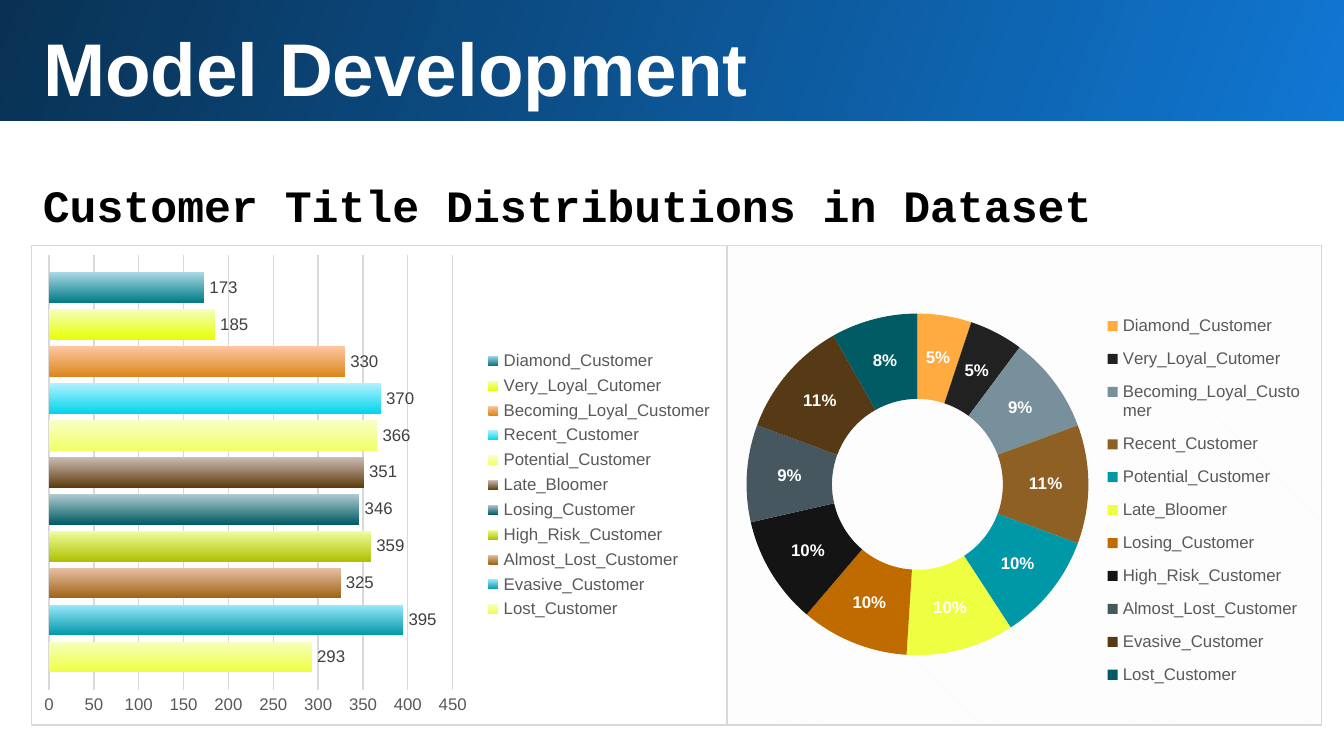
from pptx import Presentation
from pptx.chart.data import CategoryChartData
from pptx.dml.color import RGBColor
from pptx.enum.chart import XL_CHART_TYPE, XL_LABEL_POSITION, XL_LEGEND_POSITION, XL_TICK_MARK
from pptx.enum.shapes import MSO_SHAPE
from pptx.enum.text import MSO_ANCHOR, MSO_AUTO_SIZE, PP_ALIGN
from pptx.oxml import parse_xml
from pptx.oxml.ns import nsdecls, qn
from pptx.util import Inches, Pt

COLORS = {
    "white": "FFFFFF",
    "black": "000000",
    "band_light": "1077D2",
    "band_dark": "093153",
    "muted": "595959",
    "label": "404040",
    "line": "D9D9D9",
    "hatch": "F2F2F2",
}

# Chart frames in inches: left, top, width, height
BAR_BOX = (0.23, 1.82, 5.18, 3.58)
DOUGHNUT_BOX = (5.41, 1.82, 4.43, 3.58)

# Customer title, count, share in %, bar gradient (dark, light), slice colour
CUSTOMERS = [
    ("Diamond_Customer", 173, 5, "007986", "A7D8E4", "FFAB40"),
    ("Very_Loyal_Cutomer", 185, 5, "E8FF01", "F4FFBD", "212121"),
    ("Becoming_Loyal_Customer", 330, 9, "DA861B", "FFC8A3", "78909C"),
    ("Recent_Customer", 370, 11, "00D5EC", "B3F1FF", "8F6024"),
    ("Potential_Customer", 366, 10, "F1FF67", "F8FFC7", "0097A7"),
    ("Late_Bloomer", 351, 10, "5F3B0C", "CBBDB5", "EEFF41"),
    ("Losing_Customer", 346, 10, "005B64", "B1CBD2", "BF6B00"),
    ("High_Risk_Customer", 359, 10, "AFC000", "EEFFA0", "141414"),
    ("Almost_Lost_Customer", 325, 9, "9F6214", "E9C0A5", "465760"),
    ("Evasive_Customer", 395, 11, "0097A7", "99E9FC", "563A16"),
    ("Lost_Customer", 293, 8, "EEFF41", "F7FFC0", "005B64"),
]


def rgb(value):
    return RGBColor.from_string(COLORS.get(value, value))


def place(sp, left, top, width, height):
    sp.left, sp.top = Inches(left), Inches(top)
    sp.width, sp.height = Inches(width), Inches(height)


def set_font(font, size, color, name="Arial", bold=False):
    font.size, font.name, font.bold = Pt(size), name, bold
    font.color.rgb = rgb(color)


def set_gradient(fill, start, end, angle):
    fill.gradient()
    fill.gradient_angle = angle
    for stop, color in zip(fill.gradient_stops, (start, end)):
        stop.color.rgb = rgb(color)


def add_band(s):
    sp = s.shapes.add_shape(MSO_SHAPE.RECTANGLE, Inches(-0.02), Inches(-0.02),
                            Inches(10.05), Inches(0.92))
    sp.shadow.inherit = False
    sp.line.fill.background()
    set_gradient(sp.fill, "band_light", "band_dark", 160)
    s.shapes.element.insert(2, sp.element)  # behind the title


def write_heading(sp, text, box, size, color, name, spacing=1.0):
    place(sp, *box)
    tf = sp.text_frame
    tf.word_wrap = True
    tf.auto_size = MSO_AUTO_SIZE.NONE
    tf.vertical_anchor = MSO_ANCHOR.BOTTOM
    tf.margin_left = tf.margin_right = tf.margin_top = tf.margin_bottom = Inches(0.1)
    p = tf.paragraphs[0]
    p.text = text
    p.alignment = PP_ALIGN.LEFT
    p.line_spacing = spacing
    set_font(p.font, size, color, name, bold=True)


def set_layout(parent, index, part, box, inner=False):
    """Place a chart part, given in inches inside the chart frame."""
    for old in parent.findall(qn("c:layout")):
        parent.remove(old)
    target = '<c:layoutTarget val="inner"/>' if inner else ""
    x, y, w, h = (value / box[2 + i % 2] for i, value in enumerate(part))
    parent.insert(index, parse_xml(
        f'<c:layout {nsdecls("c")}><c:manualLayout>{target}'
        '<c:xMode val="edge"/><c:yMode val="edge"/>'
        f'<c:x val="{x}"/><c:y val="{y}"/><c:w val="{w}"/><c:h val="{h}"/>'
        '</c:manualLayout></c:layout>'))


def add_chart(s, kind, data, box, fill_xml, plot_box):
    chart = s.shapes.add_chart(kind, *map(Inches, box), data).chart
    chart.has_title = False
    set_font(chart.font, 10, "black")
    chart.has_legend = True
    chart.legend.position = XL_LEGEND_POSITION.RIGHT
    chart.legend.include_in_layout = False
    set_font(chart.legend.font, 9, "muted")
    body = chart.element.find(qn("c:chart"))
    set_layout(body.find(qn("c:plotArea")), 0, plot_box, box, inner=True)
    # Chart background and border
    body.addnext(parse_xml(
        f'<c:spPr {nsdecls("c", "a")}>{fill_xml}<a:ln w="9525"><a:solidFill>'
        f'<a:srgbClr val="{COLORS["line"]}"/></a:solidFill></a:ln></c:spPr>'))
    return chart


def add_count_bars(s):
    data = CategoryChartData()
    data.categories = ["1"]
    bars = CUSTOMERS[::-1]  # the first series is drawn at the bottom
    for name, count, *_ in bars:
        data.add_series(name, [count])
    fill = f'<a:solidFill><a:srgbClr val="{COLORS["white"]}"/></a:solidFill>'
    chart = add_chart(s, XL_CHART_TYPE.BAR_CLUSTERED, data, BAR_BOX,
                      fill, (0.13, 0.07, 3.01, 3.25))
    plot = chart.plots[0]
    plot.gap_width, plot.overlap = 115, -20
    plot.vary_by_categories = False
    for series, (_, _, _, dark, light, _) in zip(plot.series, bars):
        set_gradient(series.format.fill, dark, light, 90)
        labels = series.data_labels
        labels.show_value = True
        labels.position = XL_LABEL_POSITION.OUTSIDE_END
        set_font(labels.font, 9, "label")
    # Axes
    chart.category_axis.visible = False
    axis = chart.value_axis
    axis.minimum_scale, axis.maximum_scale, axis.major_unit = 0, 450, 50
    axis.major_tick_mark = axis.minor_tick_mark = XL_TICK_MARK.NONE
    axis.format.line.fill.background()
    set_font(axis.tick_labels.font, 9, "muted")
    grid = axis.major_gridlines.format.line
    grid.width = Pt(0.75)
    grid.color.rgb = rgb("line")


def add_share_doughnut(s):
    data = CategoryChartData()
    data.categories = [c[0] for c in CUSTOMERS]
    data.add_series("Series 1", [c[2] for c in CUSTOMERS])
    fill = (f'<a:pattFill prst="dkDnDiag"><a:fgClr><a:srgbClr val="{COLORS["hatch"]}"/></a:fgClr>'
            f'<a:bgClr><a:srgbClr val="{COLORS["white"]}"/></a:bgClr></a:pattFill>')
    chart = add_chart(s, XL_CHART_TYPE.DOUGHNUT, data, DOUGHNUT_BOX,
                      fill, (0.14, 0.51, 2.55, 2.55))
    legend = chart.element.find(".//" + qn("c:legend"))
    set_layout(legend, 1, (2.82, 0.43, 1.46, 2.95), DOUGHNUT_BOX)
    plot = chart.plots[0]
    plot.vary_by_categories = True
    series = plot.series[0]
    for i, customer in enumerate(CUSTOMERS):
        point = series.points[i].format
        point.fill.solid()
        point.fill.fore_color.rgb = rgb(customer[5])
        point.line.fill.background()
    labels = series.data_labels
    labels.show_percentage, labels.show_value = True, False
    labels.number_format, labels.number_format_is_linked = "0%", False
    set_font(labels.font, 9, "white", bold=True)


def main():
    prs = Presentation()
    prs.slide_width, prs.slide_height = Inches(10), Inches(10 * 9 / 16)
    s = prs.slides.add_slide(prs.slide_layouts[5])

    # Headings
    add_band(s)
    write_heading(s.shapes.title, "Model Development", (0.22, 0.06, 9.37, 0.87),
                  40, "white", "Arial")
    subtitle = s.shapes.add_textbox(0, 0, 0, 0)
    write_heading(subtitle, "Customer Title Distributions in Dataset",
                  (0.22, 1.16, 9.99, 0.66), 24, "black", "Courier New", 1.15)

    # Charts
    add_count_bars(s)
    add_share_doughnut(s)
    prs.save("out.pptx")


if __name__ == "__main__":
    main()
